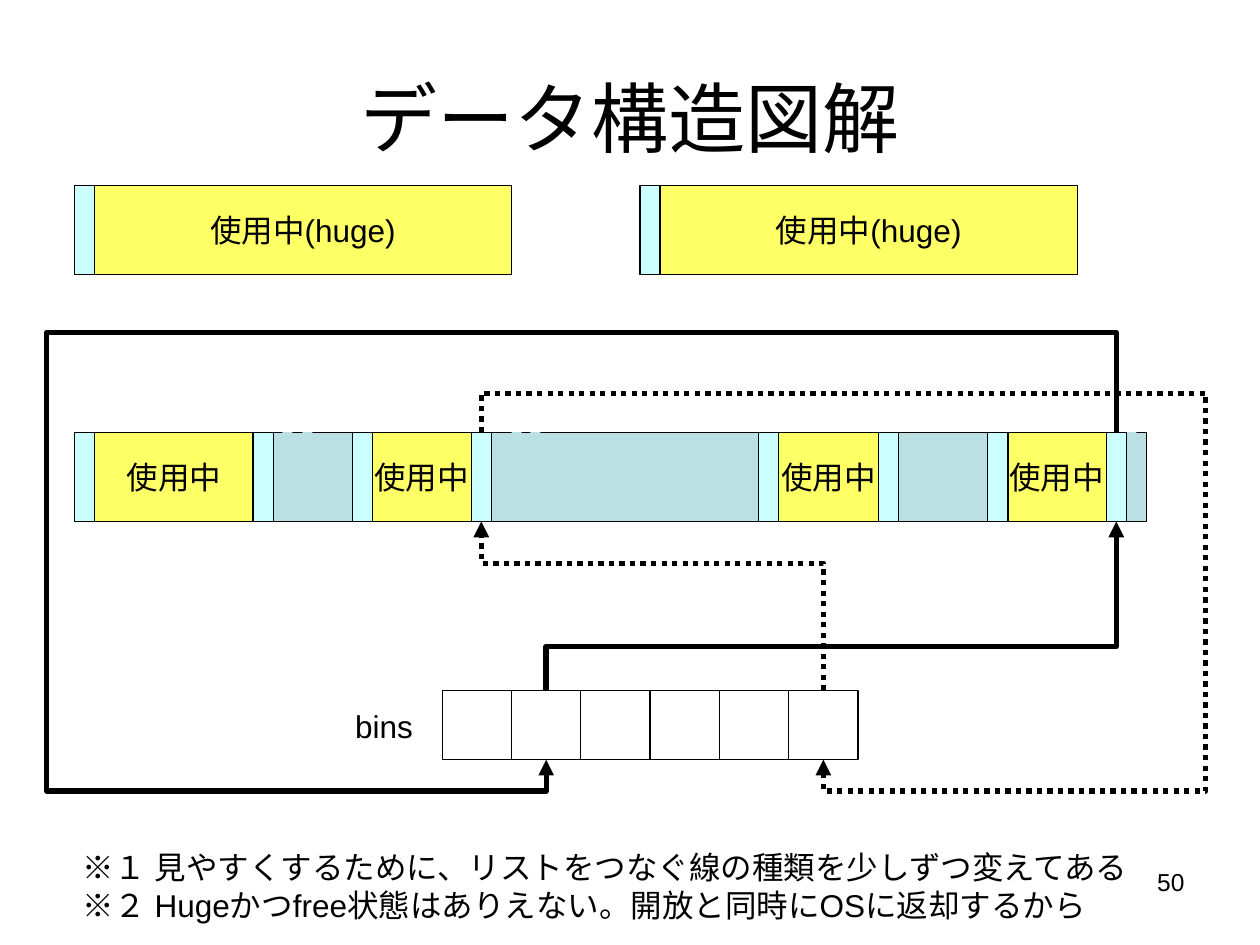
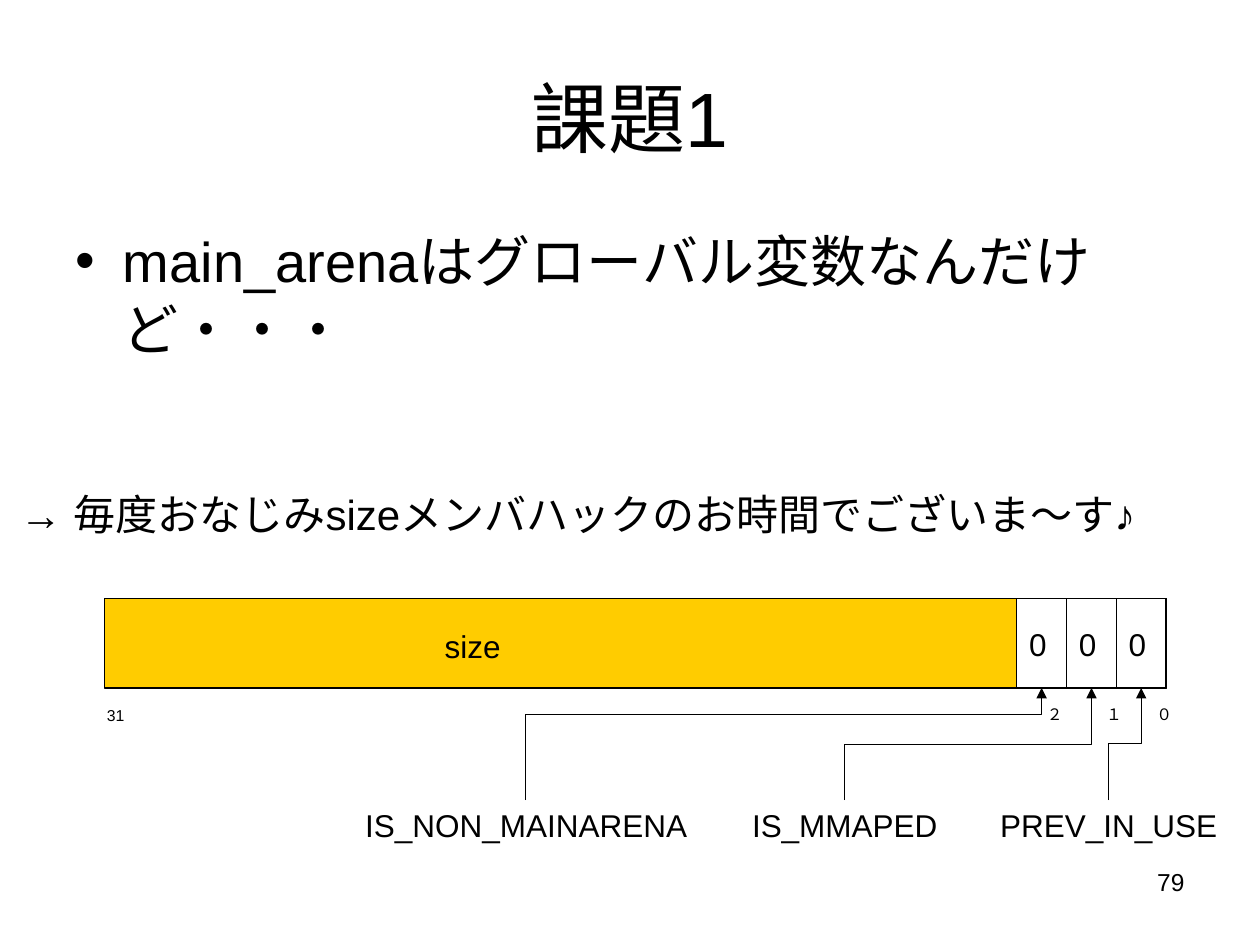
from dataclasses import dataclass

import pptx
import pptx.dml.color
import pptx.enum.dml
import pptx.enum.shapes
import pptx.enum.text
import pptx.oxml
import pptx.oxml.ns
import pptx.util

Inches = pptx.util.Inches
Pt = pptx.util.Pt
qn = pptx.oxml.ns.qn
ALIGN = pptx.enum.text.PP_ALIGN
ANCHOR = pptx.enum.text.MSO_ANCHOR
FIT = pptx.enum.text.MSO_AUTO_SIZE


@dataclass(frozen=True)
class Theme:
    font: str = "Arial"
    ink: str = "000000"
    white: str = "FFFFFF"
    free: str = "BBE0E3"
    used: str = "FFFF66"
    header: str = "CCFFFF"
    size_field: str = "FFCC00"
    title_pt: int = 44
    body_pt: int = 32
    lead_pt: int = 24
    label_pt: int = 18
    number_pt: int = 14
    bit_pt: int = 9
    thin_pt: float = 0.75
    thick_pt: float = 3


def rgb(color):
    return pptx.dml.color.RGBColor.from_string(color)


def element(tag, attributes=""):
    return pptx.oxml.parse_xml(
        f'<a:{tag} {pptx.oxml.ns.nsdecls("a")} {attributes}/>')


class Deck:
    """Holds the presentation, its theme and the slide being drawn."""

    def __init__(self, theme):
        self.theme = theme
        self.prs = pptx.Presentation()
        self.prs.slide_width, self.prs.slide_height = Inches(10), Inches(7.5)
        self.s = None

    def fill_text(self, tf, lines, size, align):
        tf.text = "\n".join(lines)
        for p in tf.paragraphs:
            p.alignment = align
            p.font.name = self.theme.font
            p.font.size = Pt(size)
            p.font.color.rgb = rgb(self.theme.ink)
            # The same font for East Asian characters
            latin = p._p.pPr.find(qn("a:defRPr")).find(qn("a:latin"))
            latin.addnext(element("ea", f'typeface="{self.theme.font}"'))

    def place(self, sp, left, top, width, height):
        sp.left, sp.top = Inches(left), Inches(top)
        sp.width, sp.height = Inches(width), Inches(height)

    def slide(self, layout, title, number):
        self.s = self.prs.slides.add_slide(self.prs.slide_layouts[layout])
        sp = self.s.shapes.title
        self.place(sp, 0.5, 0.3, 9, 1.25)
        tf = sp.text_frame
        tf.auto_size = FIT.NONE
        tf.vertical_anchor = ANCHOR.MIDDLE
        self.fill_text(tf, [title], self.theme.title_pt, ALIGN.CENTER)
        self.text(7.17, 6.83, 2.33, 0.52, [number], self.theme.number_pt,
                  ALIGN.RIGHT, wrap=True)

    def body(self, left, top, width, height, lines):
        sp = self.s.placeholders[1]
        self.place(sp, left, top, width, height)
        sp.text_frame.auto_size = FIT.NONE
        self.fill_text(sp.text_frame, lines, self.theme.body_pt, ALIGN.LEFT)
        for p in sp.text_frame.paragraphs:
            p.space_before = Pt(8)

    def text(self, left, top, width, height, lines, size=None,
             align=ALIGN.LEFT, wrap=False):
        sp = self.s.shapes.add_textbox(
            Inches(left), Inches(top), Inches(width), Inches(height))
        tf = sp.text_frame
        tf.word_wrap = wrap
        tf.auto_size = FIT.NONE if wrap else FIT.SHAPE_TO_FIT_TEXT
        self.fill_text(tf, lines, size or self.theme.label_pt, align)

    def box(self, left, top, width, height, color, label=None, outline=True):
        sp = self.s.shapes.add_shape(
            pptx.enum.shapes.MSO_SHAPE.RECTANGLE,
            Inches(left), Inches(top), Inches(width), Inches(height))
        sp.shadow.inherit = False
        sp.fill.solid()
        sp.fill.fore_color.rgb = rgb(color)
        if outline:
            sp.line.color.rgb = rgb(self.theme.ink)
            sp.line.width = Pt(self.theme.thin_pt)
        else:
            sp.line.fill.background()
        if label:
            sp.text_frame.word_wrap = False
            self.fill_text(sp.text_frame, [label], self.theme.label_pt,
                           ALIGN.CENTER)

    def arrow(self, start, end, bends, width, dotted=False):
        """Elbow arrow leaving vertically; bends are y, or y, x, y."""
        (x0, y0), (x1, y1) = start, end
        dx, dy = x1 - x0, y1 - y0
        length, breadth = abs(dy), abs(dx)
        left = (x0 + x1 - length) / 2
        top = (y0 + y1 - breadth) / 2
        cxn = self.s.shapes.add_connector(
            pptx.enum.shapes.MSO_CONNECTOR.ELBOW, Inches(left), Inches(top),
            Inches(left + length), Inches(top + breadth))
        cxn.line.color.rgb = rgb(self.theme.ink)
        cxn.line.width = Pt(width)
        if dotted:
            cxn.line.dash_style = pptx.enum.dml.MSO_LINE.ROUND_DOT

        # Turn the connector so that its first leg is vertical
        sp_pr = cxn._element.spPr
        xfrm = sp_pr.find(qn("a:xfrm"))
        rising, quarter = dy < 0, dx * dy < 0
        xfrm.set("rot", str((90 if quarter else 270) * 60000))
        xfrm.set("flipH", str(int(rising == quarter)))
        xfrm.set("flipV", str(int(rising)))

        # Bend positions, as shares of the height and width covered
        geom = sp_pr.find(qn("a:prstGeom"))
        geom.set("prst", f"bentConnector{len(bends) + 2}")
        guides = geom.find(qn("a:avLst"))
        for i, bend in enumerate(bends):
            share = (bend - x0) / dx if i % 2 else (bend - y0) / dy
            guides.append(element(
                "gd", f'name="adj{i + 1}" fmla="val {round(share * 100000)}"'))

        # Arrowhead, and no shadow
        sp_pr.find(qn("a:ln")).append(element("tailEnd", 'type="triangle"'))
        sp_pr.append(element("effectLst"))


def heap_slide(deck):
    t = deck.theme
    deck.slide(5, "データ構造図解", "50")
    header_w, chunk_h, heap_top = 0.16, 0.71, 3.43
    heap_bottom = heap_top + chunk_h

    # Heap: free area, gaps in its top edge, used chunks, chunk headers
    deck.box(0.59, heap_top, 8.51, chunk_h, t.free)
    for left in (2.24, 2.4, 4.06, 4.21, 8.94):
        deck.box(left, heap_top, 0.08, 0.08, t.free, outline=False)
    for left, width in ((0.75, 1.26), (2.95, 0.79), (6.18, 0.79), (7.99, 0.79)):
        deck.box(left, heap_top, width, chunk_h, t.used, "使用中")
    for left in (0.59, 2.01, 2.8, 3.74, 6.02, 6.97, 7.84, 8.78):
        deck.box(left, heap_top, header_w, chunk_h, t.header)

    # Huge chunks outside the heap
    for left in (0.59, 5.08):
        deck.box(left + header_w, 1.47, 3.31, chunk_h, t.used, "使用中(huge)")
        deck.box(left, 1.47, header_w, chunk_h, t.header)

    # Bins
    bin_left, bin_top, bin_w = 3.51, 5.48, 0.55
    bin_bottom = bin_top + bin_w
    for i in range(6):
        deck.box(bin_left + i * bin_w, bin_top, bin_w, bin_w, t.white)
    deck.text(2.72, 5.56, 0.72, 0.4, ["bins"])

    # Circular lists: bin to free chunk, and back round the outside
    lists = ((1, 8.86, 5.13, 2.64, 0.37, False),
             (5, 3.82, 4.47, 3.12, 9.57, True))
    for index, chunk_x, out_y, back_y, side_x, dotted in lists:
        bin_x = bin_left + (index + 0.5) * bin_w
        deck.arrow((bin_x, bin_top), (chunk_x, heap_bottom), [out_y],
                   t.thick_pt, dotted)
        deck.arrow((chunk_x, heap_top), (bin_x, bin_bottom),
                   [back_y, side_x, 6.28], t.thick_pt, dotted)

    deck.text(0.56, 6.68, 8.7, 0.7, [
        "※１ 見やすくするために、リストをつなぐ線の種類を少しずつ変えてある",
        "※２ Hugeかつfree状態はありえない。開放と同時にOSに返却するから"])


def size_slide(deck):
    t = deck.theme
    deck.slide(1, "課題1", "79")
    deck.body(0.5, 1.75, 9, 1.61, ["main_arenaはグローバル変数なんだけど・・・"])
    deck.text(0.06, 3.83, 9.5, 0.5,
              ["→ 毎度おなじみsizeメンバハックのお時間でございま～す♪"], t.lead_pt)

    # Size field with its three flag bits
    top, height, bit_left, bit_w = 4.75, 0.71, 8.07, 0.395
    deck.box(0.83, top, 8.43, height, t.size_field)
    deck.text(3.43, 4.93, 0.72, 0.4, ["size"])
    deck.text(0.75, 5.55, 0.38, 0.25, ["31"], t.bit_pt)

    # Flags: name, label left and width, arrow start, bend, bit number and left
    label_top = 6.35
    flags = (("IS_NON_MAINARENA", 2.8, 2.85, 4.17, 5.67, "２", 8.21),
             ("IS_MMAPED", 5.87, 1.75, 6.7, 5.91, "１", 8.68),
             ("PREV_IN_USE", 7.84, 2, 8.8, 5.9, "０", 9.08))
    for i, (name, left, width, x, bend, bit, bit_x) in enumerate(flags):
        cell = bit_left + i * bit_w
        deck.box(cell, top, bit_w, height, t.white)
        deck.text(cell, 4.91, 0.38, 0.4, ["0"])
        deck.text(bit_x, 5.54, 0.36, 0.25, [bit], t.bit_pt)
        deck.text(left, label_top, width, 0.4, [name])
        deck.arrow((x, label_top), (cell + bit_w / 2, top + height), [bend],
                   t.thin_pt)


def main():
    deck = Deck(Theme())
    heap_slide(deck)
    size_slide(deck)
    deck.prs.save("out.pptx")


if __name__ == "__main__":
    main()
